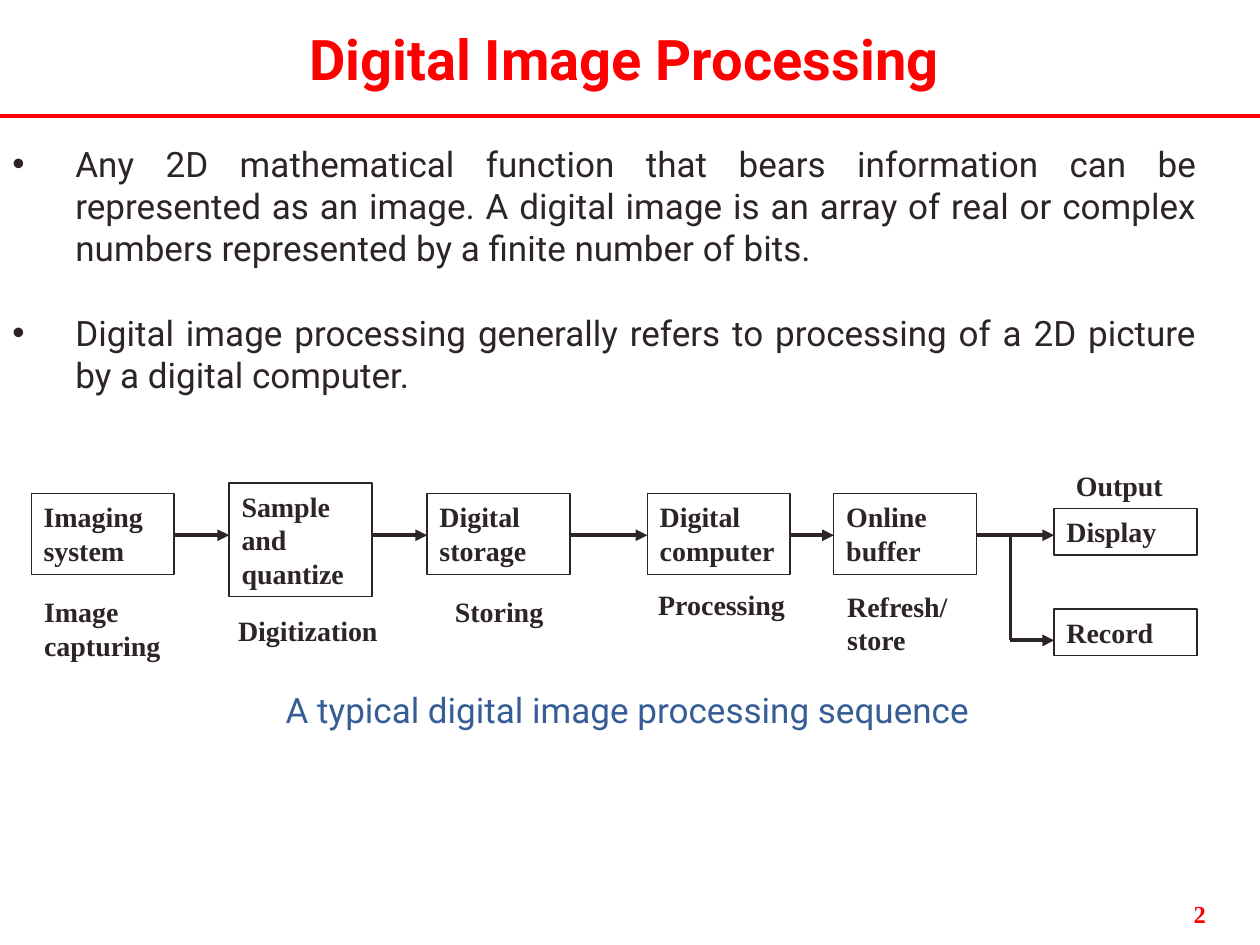
from itertools import pairwise

from lxml.etree import SubElement
from pptx import Presentation
from pptx.dml.color import RGBColor
from pptx.enum.shapes import MSO_CONNECTOR, MSO_SHAPE
from pptx.enum.text import MSO_ANCHOR, PP_ALIGN
from pptx.oxml.ns import qn
from pptx.util import Cm, Pt

INK = {"red": "FF0000", "dark": "2D2525", "blue": "365D96"}
SANS, SERIF = "Roboto", "Times New Roman"


class Deck:
    """Hold the style and the current slide, and draw each kind of element."""

    def __init__(self, wide, high):
        self.file = Presentation()
        self.file.slide_width, self.file.slide_height = Cm(wide), Cm(high)
        self.slide = self.file.slides.add_slide(self.file.slide_layouts[6])

    def fill(self, frame, lines, font=SERIF, size=16, ink="dark", bold=True,
             align=PP_ALIGN.LEFT, wrap=True, anchor=MSO_ANCHOR.TOP,
             mark=None, gap=0):
        frame.word_wrap = wrap
        frame.vertical_anchor = anchor
        for index, line in enumerate(lines):
            para = frame.add_paragraph() if index else frame.paragraphs[0]
            para.alignment = align
            if mark:
                self.bullet(para, mark)
            if index:
                para.space_before = Pt(gap)
            run = para.add_run()
            run.text = line
            run.font.name, run.font.size = font, Pt(size)
            run.font.bold = bold
            run.font.color.rgb = RGBColor.from_string(INK[ink])

    def bullet(self, para, mark):
        props = para._p.get_or_add_pPr()
        props.set("marL", str(Cm(1.27)))
        props.set("indent", str(-Cm(1.27)))
        SubElement(props, qn("a:buFont"), typeface="Arial")
        SubElement(props, qn("a:buChar"), char=mark)

    def text(self, place, lines, **style):
        box = self.slide.shapes.add_textbox(*map(Cm, place))
        self.fill(box.text_frame, lines, **style)

    def box(self, place, label):
        box = self.slide.shapes.add_shape(MSO_SHAPE.RECTANGLE, *map(Cm, place))
        box.shadow.inherit = False
        box.fill.background()
        box.line.color.rgb = RGBColor.from_string(INK["dark"])
        box.line.width = Pt(0.75)
        self.fill(box.text_frame, [label])

    def line(self, start, end, ink="dark", head=True):
        line = self.slide.shapes.add_connector(
            MSO_CONNECTOR.STRAIGHT, *map(Cm, start + end))
        line.line.color.rgb = RGBColor.from_string(INK[ink])
        line.line.width = Pt(2.25)
        if head:
            SubElement(line.line._get_or_add_ln(), qn("a:tailEnd"), type="triangle")
        SubElement(line._element.spPr, qn("a:effectLst"))


def main():
    deck = Deck(25.4, 19.05)
    deck.line((0, 2.33), (25.4, 2.33), ink="red", head=False)
    deck.text((0.62, 0.43, 23.93, 1.47), ["Digital Image Processing"], font=SANS,
              size=32, ink="red", align=PP_ALIGN.CENTER, anchor=MSO_ANCHOR.MIDDLE)
    deck.text((0, 2.74, 24.38, 6.3), [
        "Any 2D mathematical function that bears information can be represented "
        "as an image. A digital image is an array of real or complex numbers "
        "represented by a finite number of bits.",
        "Digital image processing generally refers to processing of a 2D picture "
        "by a digital computer.",
    ], font=SANS, size=20, bold=False, align=PP_ALIGN.JUSTIFY, mark="•", gap=24.5)

    wide, flow, fork, low = 2.88, 10.79, 20.37, 12.91
    steps = [
        (0.63, 9.95, 1.63, "Imaging system"),
        (4.62, 9.74, 2.29, "Sample and quantize"),
        (8.61, 9.95, 1.63, "Digital storage"),
        (13.05, 9.95, 1.63, "Digital computer"),
        (16.81, 9.95, 1.63, "Online buffer"),
        (21.25, 10.25, 0.94, "Display"),
    ]
    for left, top, high, label in steps + [(21.25, 12.28, 0.94, "Record")]:
        deck.box((left, top, wide, high), label)
    for step, after in pairwise(steps):
        deck.line((step[0] + wide, flow), (after[0], flow))
    deck.line((fork, flow), (fork, low), head=False)
    deck.line((fork, low), (21.25, low))

    notes = [
        (0.64, 11.86, 3, ["Image", "capturing"]),
        (4.55, 12.25, 3.4, ["Digitization"]),
        (8.92, 11.86, 2.4, ["Storing"]),
        (13.02, 11.71, 3.2, ["Processing"]),
        (16.83, 11.75, 2.7, ["Refresh/", "store"]),
        (21.44, 9.32, 2.4, ["Output"]),
    ]
    for left, top, span, lines in notes:
        deck.text((left, top, span, 0.94 * len(lines)), lines)

    deck.text((5.51, 13.76, 17.35, 1.12),
              ["A typical digital image processing sequence"],
              font=SANS, size=20, ink="blue", bold=False)
    deck.text((20.32, 17.99, 4.24, 1.07), ["2"], size=14, ink="red",
              align=PP_ALIGN.RIGHT)
    deck.file.save("out.pptx")


if __name__ == "__main__":
    main()
